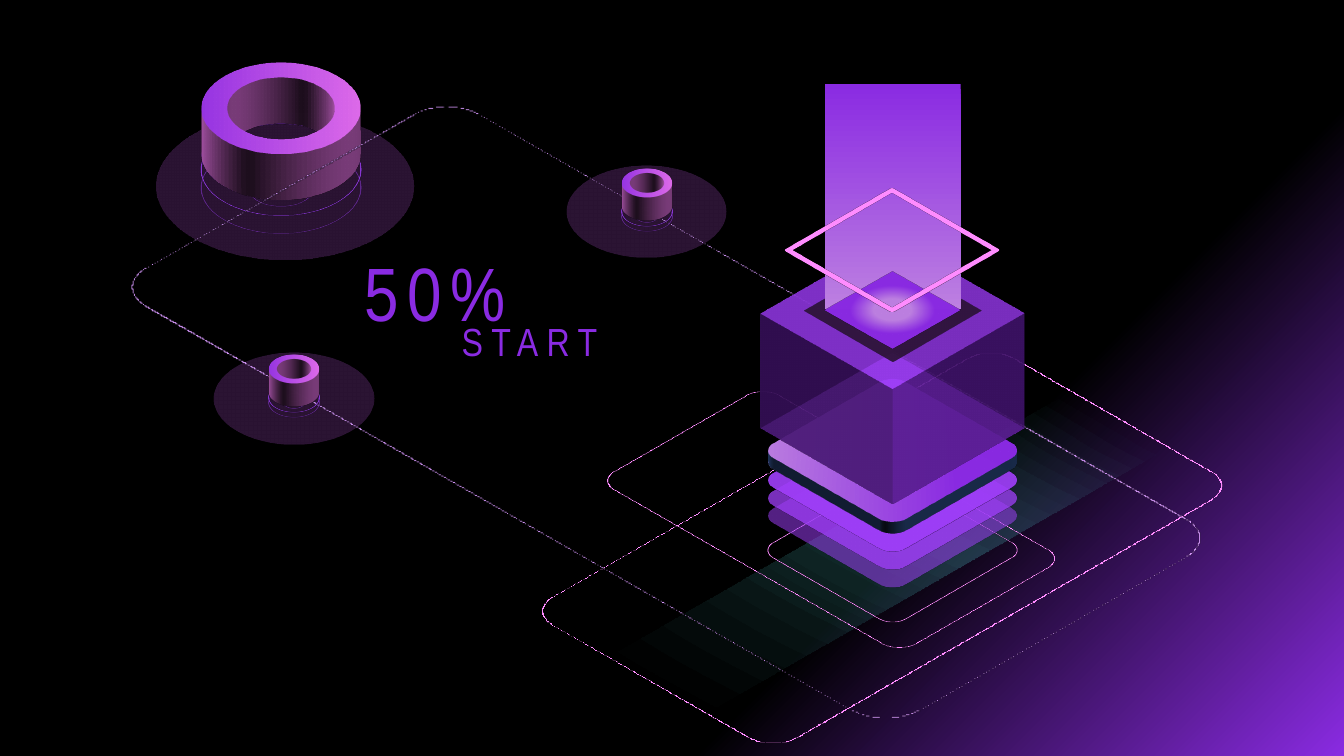
from lxml import etree
from pptx import Presentation
from pptx.dml.color import RGBColor
from pptx.enum.shapes import MSO_SHAPE
from pptx.enum.text import MSO_AUTO_SIZE
from pptx.oxml import parse_xml
from pptx.oxml.ns import nsdecls, qn
from pptx.util import Pt

RECT = MSO_SHAPE.RECTANGLE
ROUND = MSO_SHAPE.ROUNDED_RECTANGLE
DONUT = MSO_SHAPE.DONUT
FIT_SHAPE = MSO_AUTO_SIZE.SHAPE_TO_FIT_TEXT

VIOLET = "8A2BE2"
LILAC = "BD80E1"
PINK = "EC76EC"
DARK = "16001E"
CYAN = "66FFFF"
FONT = "Arial Narrow"


def add_color(parent, color, opacity=100):
    clr = etree.SubElement(parent, qn("a:srgbClr"), val=color)
    if opacity < 100:
        etree.SubElement(clr, qn("a:alpha"), val=str(opacity * 1000))


def paint(fill, owner, color, opacity=100):
    """Solid fill; owner is the XML element that holds the fill."""
    fill.solid()
    fill.fore_color.rgb = RGBColor.from_string(color)
    solid = owner.find(qn("a:solidFill"))
    solid.clear()
    add_color(solid, color, opacity)


def blend(fill, owner, stops, angle=0, focus=None):
    """Gradient of (position, colour[, opacity]); focus is a radial l, t, r, b."""
    fill.gradient()
    grad = owner.find(qn("a:gradFill"))
    grad.clear()
    grad.set("rotWithShape", "1")
    gs_list = etree.SubElement(grad, qn("a:gsLst"))
    for pos, *color in stops:
        gs = etree.SubElement(gs_list, qn("a:gs"), pos=str(pos * 1000))
        add_color(gs, *color)
    if focus:
        radial = etree.SubElement(grad, qn("a:path"))
        radial.set("path", "circle")
        sides = {k: str(v * 1000) for k, v in zip("ltrb", focus)}
        etree.SubElement(radial, qn("a:fillToRect"), **sides)
    else:
        etree.SubElement(grad, qn("a:lin"), ang=str(angle * 60000), scaled="0")


def add_preset(shapes, kind, x, y, w, h, adj=None):
    """Shape with no fill, line or shadow."""
    s = shapes.add_shape(kind, Pt(x), Pt(y), Pt(w), Pt(h))
    s.shadow.inherit = False
    s.fill.background()
    s.line.fill.background()
    if adj is not None:
        s.adjustments[0] = adj
    return s


def set_line(s, width, color, opacity=100):
    s.line.width = Pt(width)
    paint(s.line.fill, s.line._get_or_add_ln(), color, opacity)


def set_glow_line(s, width, middle=PINK):
    s.line.width = Pt(width)
    stops = [(0, VIOLET), (50, middle), (100, VIOLET)]
    blend(s.line.fill, s.line._get_or_add_ln(), stops)


def set_isometric(s, depth=0, side=None):
    """Lay the shape flat in isometric view, extruded downwards by depth."""
    sp_pr = s._element.spPr
    sp_pr.append(parse_xml(
        f'<a:scene3d {nsdecls("a")}><a:camera prst="isometricTopUp"/>'
        '<a:lightRig rig="threePt" dir="t"/></a:scene3d>'))
    sp3d = etree.SubElement(sp_pr, qn("a:sp3d"))
    if depth:
        sp3d.set("extrusionH", str(Pt(depth)))
    if side:
        add_color(etree.SubElement(sp3d, qn("a:extrusionClr")), side)


def add_platform(shapes, x, y, size):
    s = add_preset(shapes, ROUND, x, y, size, size, 0.5)
    paint(s.fill, s._element.spPr, DARK)
    set_line(s, 1, VIOLET)
    set_isometric(s)


def add_frame(shapes, x, y, w, h, adj=0.1, width=1, middle=PINK):
    s = add_preset(shapes, ROUND, x, y, w, h, adj)
    set_glow_line(s, width, middle)
    set_isometric(s)


def add_tile(shapes, x, y, size, color, opacity, adj=0.0, depth=0):
    s = add_preset(shapes, ROUND, x, y, size, size, adj)
    paint(s.fill, s._element.spPr, color, opacity)
    set_isometric(s, depth, color if depth else None)


def add_ring(shapes, x, y, size, depth, drops):
    """Extruded ring over two thin outlines, each lower than it by a drop."""
    grp = shapes.add_group_shape()
    for drop, hole, opacity in zip(drops, (0.295, 0.359), (45, 81)):
        s = add_preset(grp.shapes, DONUT, x, y + drop, size, size, hole)
        set_line(s, 1, VIOLET, opacity)
        set_isometric(s)
    s = add_preset(grp.shapes, DONUT, x, y, size, size, 0.163)
    blend(s.fill, s._element.spPr, [(0, PINK), (100, VIOLET)],
          focus=(100, 100, 0, 0))
    set_isometric(s, depth, PINK)


def add_label(shapes, x, y, w, h, text, size):
    tf = shapes.add_textbox(Pt(x), Pt(y), Pt(w), Pt(h)).text_frame
    tf.word_wrap = False
    tf.auto_size = FIT_SHAPE
    tf.text = text
    r = tf.paragraphs[0].runs[0]
    r.font.name = FONT
    r.font.size = Pt(size)
    r.font.color.rgb = RGBColor.from_string(VIOLET)
    r._r.get_or_add_rPr().set("spc", "600")


def add_tower(shapes):
    x, size = 571, 133.2
    for y, opacity in ((301.7, 32), (289.4, 52), (276.5, 73)):
        add_tile(shapes, x, y, size, VIOLET, opacity, adj=0.1)
    slab = add_preset(shapes, ROUND, x, 254.9, size, size, 0.1)
    blend(slab.fill, slab._element.spPr, [(0, LILAC), (74, VIOLET)], 45)
    set_line(slab, 1, "325491")
    set_isometric(slab, 10)

    add_tile(shapes, x, 157, size, VIOLET, 75, depth=100)
    add_tile(shapes, 593.3, 177.1, 89.3, DARK, 68)
    beam = add_preset(shapes, RECT, 589, 59.8, 97.2, 161.3)
    blend(beam.fill, beam._element.spPr, [(0, VIOLET), (100, LILAC)], 90)
    glow = add_preset(shapes, ROUND, 603.4, 187.2, 68.4, 68.4, 0)
    blend(glow.fill, glow._element.spPr, [(27, LILAC), (62, VIOLET)],
          focus=(50, 50, 50, 50))
    set_isometric(glow)
    add_frame(shapes, 584.6, 126, 105.1, 105.1, adj=0, width=5)


def main():
    prs = Presentation()
    prs.slide_width, prs.slide_height = Pt(960), Pt(540)
    shapes = prs.slides.add_slide(prs.slide_layouts[6]).shapes

    backdrop = add_preset(shapes, RECT, 0, -3.6, 960, 543.6)
    blend(backdrop.fill, backdrop._element.spPr,
          [(0, VIOLET), (31, "000000")], 225)

    for x, y, size in ((404.6, 93.6, 114.5), (152.6, 227.5, 114.5),
                       (111.6, 41, 184.3)):
        add_platform(shapes, x, y, size)
    add_ring(shapes, 144, 20.2, 113.8, 40, (56.9, 43.9))

    band = add_preset(shapes, RECT, 388.8, 347.8, 481.7, 99.4)
    blend(band.fill, band._element.spPr,
          [(0, CYAN, 0), (50, CYAN, 11), (100, CYAN, 0)])
    set_isometric(band)

    add_frame(shapes, 571, 326.2, 133.2, 133.2)
    add_frame(shapes, 307.4, -95, 337, 780.5, middle=LILAC)
    add_frame(shapes, 510.5, 218.9, 166.3, 303.8)
    add_frame(shapes, 396.7, 267.8, 467.3, 247)
    add_tower(shapes)

    add_label(shapes, 253.4, 172.1, 128.9, 72.7, "50%", 54)
    add_label(shapes, 322.6, 223.2, 118.8, 41, "START", 28)
    for x, y in ((192.2, 245.5), (444.2, 113)):
        add_ring(shapes, x, y, 36, 20, (23.8, 20.2))

    prs.save("out.pptx")


if __name__ == "__main__":
    main()
